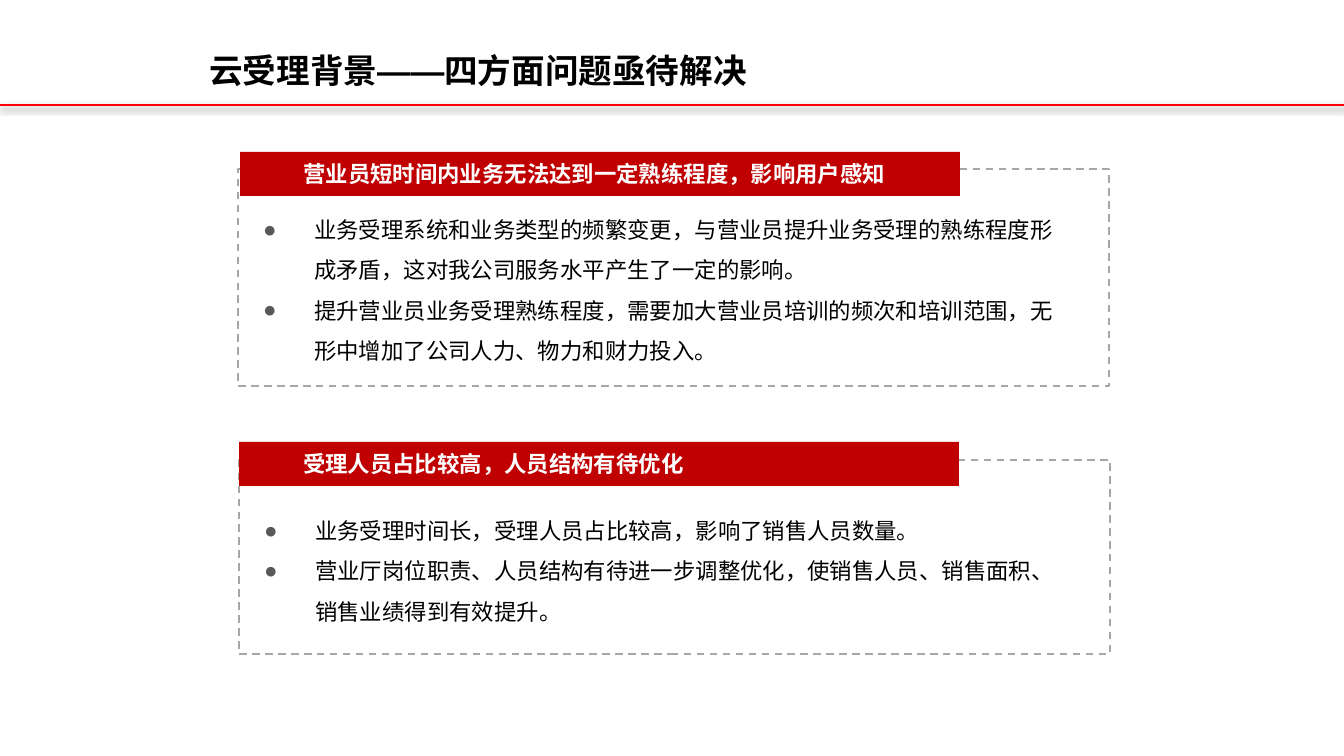
from dataclasses import dataclass

from lxml.etree import SubElement
from pptx import Presentation
from pptx.dml.color import RGBColor
from pptx.enum.dml import MSO_LINE
from pptx.enum.shapes import MSO_CONNECTOR, MSO_SHAPE
from pptx.enum.text import MSO_ANCHOR, MSO_AUTO_SIZE, PP_ALIGN
from pptx.oxml.ns import qn
from pptx.util import Emu, Pt


@dataclass(frozen=True)
class Theme:
    """Colours, font and type sizes of the slide."""
    font: str = "Arial"
    text: str = "000000"
    inverse: str = "FFFFFF"
    rule: str = "FF0000"
    banner: str = "C00000"
    frame: str = "A6A6A6"
    bullet: str = "595959"
    title_size: int = 18
    body_size: int = 12


THEME = Theme()
EMU_PER_PX = 914400 / 134.4
SLIDE_WIDTH, SLIDE_HEIGHT = 1344, 756
BULLET_INDENT = 51

PANELS = [
    {
        "heading": "营业员短时间内业务无法达到一定熟练程度，影响用户感知",
        "points": [
            "业务受理系统和业务类型的频繁变更，与营业员提升业务受理的熟练程度形成矛盾，这对我公司服务水平产生了一定的影响。",
            "提升营业员业务受理熟练程度，需要加大营业员培训的频次和培训范围，无形中增加了公司人力、物力和财力投入。",
        ],
        "frame": (238, 169, 871, 217),
        "banner": (240, 152, 720, 44),
        "label": (290, 153, 609, 42),
        "body": (250, 196, 831, 175),
    },
    {
        "heading": "受理人员占比较高，人员结构有待优化",
        "points": [
            "业务受理时间长，受理人员占比较高，影响了销售人员数量。",
            "营业厅岗位职责、人员结构有待进一步调整优化，使销售人员、销售面积、销售业绩得到有效提升。",
        ],
        "frame": (239, 460, 871, 194),
        "banner": (239, 442, 720, 44),
        "label": (290, 443, 407, 42),
        "body": (251, 497, 831, 134),
    },
]


def px(length):
    """Turn pixels into EMU."""
    return Emu(round(length * EMU_PER_PX))


def color(value):
    """Turn a hex string into a colour."""
    return RGBColor.from_string(value)


def add_run(paragraph, text, size, text_color, bold=False):
    """Add one styled run."""
    run = paragraph.add_run()
    run.text = text
    run.font.name = THEME.font
    run.font.size = Pt(size)
    run.font.bold = bold
    run.font.color.rgb = color(text_color)
    properties = run._r.get_or_add_rPr()
    SubElement(properties, qn("a:ea"), typeface=THEME.font)


def add_text_box(slide, box):
    """Add a wrapping text box and return its text frame."""
    frame = slide.shapes.add_textbox(*map(px, box)).text_frame
    frame.word_wrap = True
    frame.auto_size = MSO_AUTO_SIZE.SHAPE_TO_FIT_TEXT
    return frame


def add_rectangle(shapes, box, fill=None, line=None):
    """Add a filled or dashed rectangle."""
    shape = shapes.add_shape(MSO_SHAPE.RECTANGLE, *map(px, box))
    shape.shadow.inherit = False
    if fill:
        shape.fill.solid()
        shape.fill.fore_color.rgb = color(fill)
    else:
        shape.fill.background()
    if line:
        shape.line.color.rgb = color(line)
        shape.line.width = Pt(1)
        shape.line.dash_style = MSO_LINE.DASH
    else:
        shape.line.fill.background()
    return shape


def add_header_rule(slide):
    """Add the full-width red rule with its soft shadow."""
    rule = slide.shapes.add_connector(
        MSO_CONNECTOR.STRAIGHT, 0, px(105), px(SLIDE_WIDTH), px(105))
    rule.line.color.rgb = color(THEME.rule)
    rule.line.width = Pt(1.5)
    effects = SubElement(rule._element.spPr, qn("a:effectLst"))
    shadow = SubElement(effects, qn("a:outerShdw"), blurRad=str(Pt(3.1)),
                        dist=str(Pt(1.6)), dir="5400000", rotWithShape="0")
    shade = SubElement(shadow, qn("a:srgbClr"), val=THEME.text)
    SubElement(shade, qn("a:alpha"), val="38000")


def add_title(slide, text):
    """Add the slide title."""
    frame = add_text_box(slide, (196, 43, 673, 56))
    add_run(frame.paragraphs[0], text, THEME.title_size, THEME.text, bold=True)


def add_banner(slide, banner, label, heading):
    """Add a grouped banner with its centred one-line heading."""
    group = slide.shapes.add_group_shape()
    add_rectangle(group.shapes, banner, fill=THEME.banner)
    frame = add_rectangle(group.shapes, label, fill=THEME.banner).text_frame
    frame.word_wrap = False
    frame.auto_size = MSO_AUTO_SIZE.NONE
    frame.margin_left = frame.margin_right = 0
    frame.vertical_anchor = MSO_ANCHOR.MIDDLE
    paragraph = frame.paragraphs[0]
    paragraph.alignment = PP_ALIGN.CENTER
    add_run(paragraph, heading, THEME.body_size, THEME.inverse, bold=True)


def add_bullet(paragraph):
    """Give a paragraph a hanging round bullet."""
    properties = paragraph._p.get_or_add_pPr()
    properties.set("marL", str(px(BULLET_INDENT)))
    properties.set("indent", str(-px(BULLET_INDENT)))
    bullet_color = SubElement(properties, qn("a:buClr"))
    SubElement(bullet_color, qn("a:srgbClr"), val=THEME.bullet)
    SubElement(properties, qn("a:buFont"), typeface=THEME.font)
    SubElement(properties, qn("a:buChar"), char="●")


def add_bullet_list(slide, box, points):
    """Add a bulleted list with open line spacing."""
    frame = add_text_box(slide, box)
    for index, point in enumerate(points):
        paragraph = frame.add_paragraph() if index else frame.paragraphs[0]
        paragraph.line_spacing = 1.5
        add_bullet(paragraph)
        add_run(paragraph, point, THEME.body_size, THEME.text)


def add_panel(slide, panel):
    """Add a dashed frame with its banner and list."""
    add_rectangle(slide.shapes, panel["frame"], line=THEME.frame)
    add_banner(slide, panel["banner"], panel["label"], panel["heading"])
    add_bullet_list(slide, panel["body"], panel["points"])


def main():
    """Build and save the slide."""
    presentation = Presentation()
    presentation.slide_width = px(SLIDE_WIDTH)
    presentation.slide_height = px(SLIDE_HEIGHT)
    slide = presentation.slides.add_slide(presentation.slide_layouts[6])
    add_header_rule(slide)
    add_title(slide, "云受理背景——四方面问题亟待解决")
    for panel in PANELS:
        add_panel(slide, panel)
    presentation.save("out.pptx")


if __name__ == "__main__":
    main()
